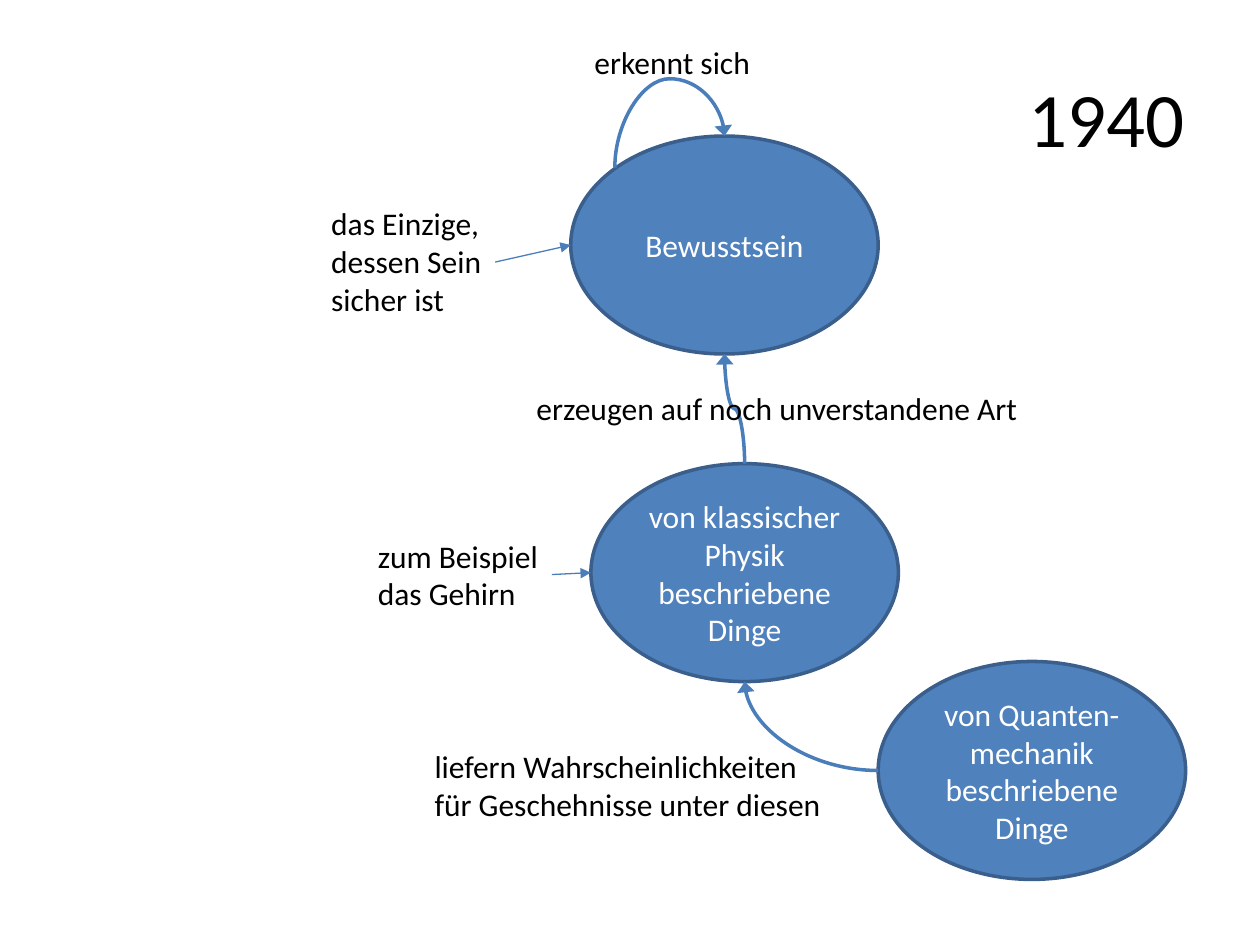
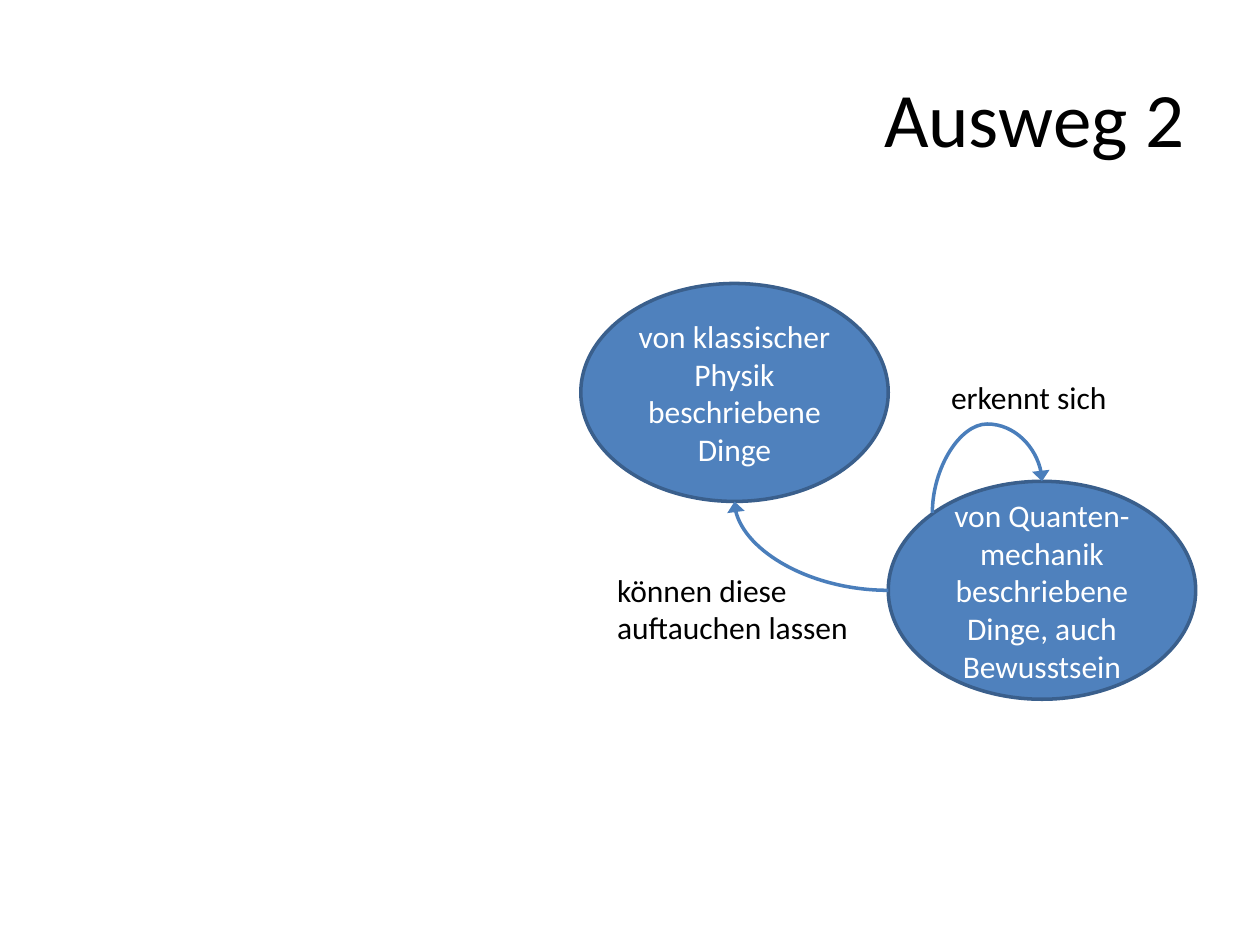
import pptx
import pptx.dml.color
import pptx.enum.shapes
import pptx.enum.text
import pptx.oxml.ns
import pptx.util
from lxml import etree
from pptx.util import Inches

COLOURS = {"fill": "4F81BD", "outline": "3A5F8C", "arrow": "4A7EBB",
           "light": "FFFFFF", "dark": "000000"}
FONT = "Calibri"
BODY_SIZE = 18
TITLE_SIZE = 44
NODE_WIDTH, NODE_HEIGHT = 2.44, 1.73
LOOP_START_X, LOOP_START_Y = 0.35, 0.25
CLASSICAL = "von klassischer Physik beschriebene Dinge"
QUANTUM = "von Quanten-mechanik beschriebene Dinge"
ALIGN = pptx.enum.text.PP_ALIGN


def colour(name):
    """Return a palette colour as RGB."""
    return pptx.dml.color.RGBColor.from_string(COLOURS[name])


def set_text(frame, text, size, colour_name, alignment):
    """Fill a text frame and format all its runs."""
    frame.text = text
    for paragraph in frame.paragraphs:
        paragraph.alignment = alignment
        for run in paragraph.runs:
            run.font.name = FONT
            run.font.size = pptx.util.Pt(size)
            run.font.color.rgb = colour(colour_name)


def add_titled_slide(presentation, title):
    """Add a slide with a right-aligned title."""
    slide = presentation.slides.add_slide(presentation.slide_layouts[5])
    shape = slide.shapes.title
    shape.left, shape.top = Inches(0.5), Inches(0.3)
    shape.width, shape.height = Inches(9), Inches(1.25)
    shape.text_frame.vertical_anchor = pptx.enum.text.MSO_ANCHOR.MIDDLE
    set_text(shape.text_frame, title, TITLE_SIZE, "dark", ALIGN.RIGHT)
    return slide


def add_node(slide, left, top, text):
    """Add an ellipse and return the points where arrows attach."""
    shape = slide.shapes.add_shape(
        pptx.enum.shapes.MSO_SHAPE.OVAL, Inches(left), Inches(top),
        Inches(NODE_WIDTH), Inches(NODE_HEIGHT))
    shape.shadow.inherit = False
    shape.fill.solid()
    shape.fill.fore_color.rgb = colour("fill")
    shape.line.color.rgb = colour("outline")
    shape.line.width = pptx.util.Pt(2)
    shape.text_frame.vertical_anchor = pptx.enum.text.MSO_ANCHOR.MIDDLE
    set_text(shape.text_frame, text, BODY_SIZE, "light", ALIGN.CENTER)
    centre = left + NODE_WIDTH / 2
    return {"left": (left, top + NODE_HEIGHT / 2), "top": (centre, top),
            "bottom": (centre, top + NODE_HEIGHT),
            "shoulder": (left + LOOP_START_X, top + LOOP_START_Y)}


def add_label(slide, left, top, width, height, text):
    """Add a text label whose box is wide enough for its longest line."""
    box = slide.shapes.add_textbox(
        Inches(left), Inches(top), Inches(width), Inches(height))
    box.text_frame.word_wrap = True
    box.text_frame.auto_size = pptx.enum.text.MSO_AUTO_SIZE.SHAPE_TO_FIT_TEXT
    set_text(box.text_frame, text, BODY_SIZE, "dark", ALIGN.LEFT)


def add_arrow(slide, start, end, width=0.75, head="med",
              kind=pptx.enum.shapes.MSO_CONNECTOR.STRAIGHT):
    """Add a connector with a triangle at its end."""
    connector = slide.shapes.add_connector(
        kind, *[Inches(value) for value in start + end])
    connector.line.color.rgb = colour("arrow")
    connector.line.width = pptx.util.Pt(width)
    line = connector.line._get_or_add_ln()
    etree.SubElement(line, pptx.oxml.ns.qn("a:tailEnd"), type="triangle",
                     w=head)
    etree.SubElement(connector._element.spPr, pptx.oxml.ns.qn("a:effectLst"))
    return connector


def add_curve(slide, start, end, preset, rotation, flips="", bend=None):
    """Add a curved arrow; its frame is turned by rotation about its centre."""
    connector = add_arrow(slide, start, end, 2, "lg",
                          pptx.enum.shapes.MSO_CONNECTOR.CURVE)
    width, height = abs(end[0] - start[0]), abs(end[1] - start[1])
    if rotation % 180:
        width, height = height, width
    connector.left = Inches((start[0] + end[0] - width) / 2)
    connector.top = Inches((start[1] + end[1] - height) / 2)
    connector.width, connector.height = Inches(width), Inches(height)
    properties = connector._element.spPr
    frame = properties.find(pptx.oxml.ns.qn("a:xfrm"))
    frame.set("rot", str(rotation * 60000))
    for axis in "HV":
        frame.set("flip" + axis, "1" if axis in flips else "0")
    geometry = properties.find(pptx.oxml.ns.qn("a:prstGeom"))
    geometry.set("prst", preset)
    if bend is not None:
        guides = geometry.find(pptx.oxml.ns.qn("a:avLst"))
        if guides is None:
            guides = etree.SubElement(geometry, pptx.oxml.ns.qn("a:avLst"))
        etree.SubElement(guides, pptx.oxml.ns.qn("a:gd"), name="adj1",
                         fmla=f"val {round(bend * 100000)}")


def add_loop(slide, node):
    """Add the labelled arrow that leads from a node back to itself."""
    add_curve(slide, node["shoulder"], node["top"], "curvedConnector3",
              90, "HV", 2.82)


def add_quantum_link(slide, quantum, classical):
    """Add the arc from the quantum node to the classical node."""
    add_curve(slide, quantum["left"], classical["bottom"],
              "curvedConnector2", 180)


def build_1940(presentation):
    """Build the slide on the view of 1940."""
    slide = add_titled_slide(presentation, "1940")
    mind = add_node(slide, 4.53, 1.08, "Bewusstsein")
    classical = add_node(slide, 4.69, 3.68, CLASSICAL)
    quantum = add_node(slide, 6.97, 5.25, QUANTUM)
    add_loop(slide, mind)
    add_curve(slide, classical["top"], mind["bottom"], "curvedConnector3",
              270, "V", 0.5)
    add_quantum_link(slide, quantum, classical)
    add_arrow(slide, (3.93, 2.08), mind["left"])
    add_arrow(slide, (4.38, 4.56), classical["left"])
    add_label(slide, 4.62, 0.29, 1.5, 0.4, "erkennt sich")
    add_label(slide, 4.16, 3.04, 4.13, 0.4,
              "erzeugen auf noch unverstandene Art")
    add_label(slide, 3.35, 5.88, 3.35, 0.7,
              "liefern Wahrscheinlichkeiten \vfür Geschehnisse unter diesen")
    add_label(slide, 2.9, 4.21, 1.55, 0.7, "zum Beispiel\vdas Gehirn")
    add_label(slide, 2.53, 1.57, 1.45, 1,
              "das Einzige,\vdessen Sein\vsicher ist")


def build_way_out(presentation):
    """Build the slide on the second way out."""
    slide = add_titled_slide(presentation, "Ausweg 2")
    classical = add_node(slide, 4.61, 2.25, CLASSICAL)
    quantum = add_node(slide, 7.05, 3.82, QUANTUM + ", auch Bewusstsein")
    add_quantum_link(slide, quantum, classical)
    add_loop(slide, quantum)
    add_label(slide, 7.45, 2.95, 1.5, 0.4, "erkennt sich")
    add_label(slide, 4.8, 4.48, 2.1, 0.7, "können diese\nauftauchen lassen")


def main():
    """Build and save the presentation."""
    presentation = pptx.Presentation()
    presentation.slide_width = Inches(10)
    presentation.slide_height = Inches(7.5)
    build_1940(presentation)
    build_way_out(presentation)
    presentation.save("out.pptx")


main()
